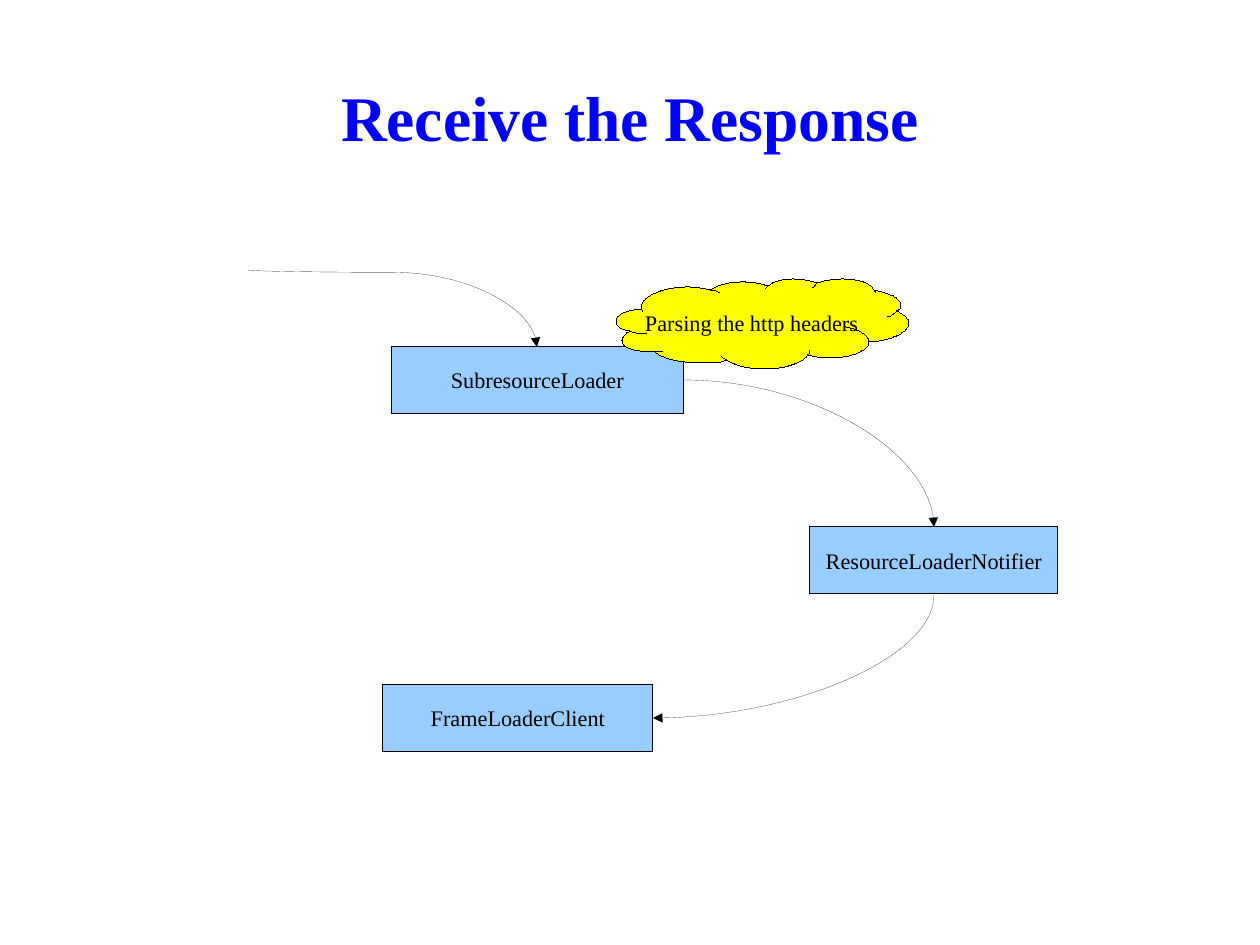
from lxml import etree
from pptx import Presentation
from pptx.dml.color import RGBColor
from pptx.enum.shapes import MSO_CONNECTOR, MSO_SHAPE
from pptx.enum.text import MSO_ANCHOR, MSO_AUTO_SIZE, PP_ALIGN
from pptx.oxml.ns import qn
from pptx.util import Pt

PX = 914400 / 114.3  # EMU per pixel
HAIRLINE = 1         # EMU; python-pptx drops a width of 0

RECT, CURVE = MSO_SHAPE.RECTANGLE, MSO_CONNECTOR.CURVE
LEFT, CENTER = PP_ALIGN.LEFT, PP_ALIGN.CENTER
MIDDLE, NO_FIT = MSO_ANCHOR.MIDDLE, MSO_AUTO_SIZE.NONE

COLORS = {"title": "0000FF", "text": "000000", "line": "000000",
          "box": "99CCFF", "cloud": "FFFF00"}
TITLE_FONT = {"name": "Times New Roman", "size": Pt(40), "bold": True}
LABEL_FONT = {"name": "Times New Roman", "size": Pt(14), "bold": False}

BOXES = [("FrameLoaderClient", 383, 684, 270, 68),
         ("SubresourceLoader", 391, 346, 293, 68),
         ("ResourceLoaderNotifier", 810, 527, 248, 67)]

# Start, end, rotation, preset, flip and bend of each arrow
ARROWS = [((684, 380), (934, 527), 0, "curvedConnector2", False, None),
          ((934, 595), (653, 718), 90, "curvedConnector2", False, None),
          ((248, 270), (537, 347), 270, "curvedConnector3", True, 3000)]

# Cloud outline: two control points and the end of each curve
CLOUD_START = (642, 309)
CLOUD_CURVES = [
    ((637, 298), (662, 287), (687, 287)), ((695, 287), (703, 288), (710, 290)),
    ((717, 285), (729, 282), (742, 282)), ((751, 282), (759, 283), (768, 286)),
    ((773, 281), (783, 279), (793, 279)), ((803, 279), (812, 281), (817, 283)),
    ((823, 281), (832, 279), (842, 279)), ((858, 279), (872, 283), (874, 290)),
    ((889, 293), (901, 298), (901, 305)), ((901, 307), (900, 309), (897, 311)),
    ((904, 314), (909, 319), (909, 322)), ((909, 333), (890, 341), (869, 342)),
    ((869, 351), (850, 358), (830, 358)), ((822, 358), (815, 357), (808, 355)),
    ((802, 363), (785, 369), (765, 369)), ((750, 369), (735, 366), (727, 360)),
    ((719, 362), (724, 363), (701, 363)), ((681, 363), (664, 359), (655, 352)),
    ((633, 352), (622, 347), (622, 341)), ((622, 337), (625, 333), (630, 331)),
    ((621, 330), (616, 326), (616, 321)), ((616, 314), (627, 310), CLOUD_START),
]
# Start and curve of each crease inside the cloud
CLOUD_CREASES = [
    ((642, 309), (642, 310), (643, 311), (643, 312)),
    ((710, 290), (714, 290), (717, 291), (720, 293)),
    ((768, 286), (767, 287), (766, 288), (765, 289)),
    ((817, 283), (815, 285), (814, 286), (813, 288)),
    ((874, 290), (874, 291), (877, 293), (876, 293)),
    ((897, 311), (895, 313), (893, 315), (888, 317)),
    ((869, 342), (870, 338), (863, 330), (846, 327)),
    ((808, 355), (809, 354), (810, 353), (810, 351)),
    ((727, 360), (725, 359), (723, 358), (722, 357)),
    ((655, 352), (657, 352), (660, 352), (663, 352)),
    ((630, 331), (634, 333), (640, 334), (647, 334)),
]


def px(n):
    return round(n * PX)


def rgb(key):
    return RGBColor.from_string(COLORS[key])


def write(sp, text, font, color, align=CENTER, wrap=False):
    tf = sp.text_frame
    frame = {"word_wrap": wrap, "vertical_anchor": MIDDLE, "auto_size": NO_FIT}
    for key, value in frame.items():
        setattr(tf, key, value)
    p = tf.paragraphs[0]
    p.alignment = align
    r = p.add_run()
    r.text = text
    for key, value in font.items():
        setattr(r.font, key, value)
    r.font.color.rgb = rgb(color)
    return tf


def outline(sp):
    sp.line.color.rgb = rgb("line")
    sp.line.width = HAIRLINE


def paint(sp, fill):
    sp.shadow.inherit = False
    sp.fill.solid()
    sp.fill.fore_color.rgb = rgb(fill)
    outline(sp)


def add_title(slide, text):
    sp = slide.shapes.title
    place = {"left": 63, "top": 37, "width": 1134, "height": 158}
    for key, value in place.items():
        setattr(sp, key, px(value))
    tf = write(sp, text, TITLE_FONT, "title", wrap=True)
    for side in ("left", "top", "right", "bottom"):
        setattr(tf, "margin_" + side, 0)


def add_box(slide, text, *place):
    sp = slide.shapes.add_shape(RECT, *map(px, place))
    paint(sp, "box")
    write(sp, text, LABEL_FONT, "text")


def bend_lines(path):
    """Turn every three line segments of a path into one cubic curve."""
    lines = path.findall(qn("a:lnTo"))
    for i in range(0, len(lines), 3):
        curve = etree.Element(qn("a:cubicBezTo"))
        lines[i].addprevious(curve)
        for line in lines[i:i + 3]:
            curve.append(line[0])
            path.remove(line)


def add_crease(outer, crease, left, top):
    path = etree.SubElement(outer.getparent(), qn("a:path"))
    for key, value in {"w": outer.get("w"), "h": outer.get("h"), "fill": "none"}.items():
        path.set(key, value)
    for i, (x, y) in enumerate(crease):
        step = etree.SubElement(path, qn("a:lnTo" if i else "a:moveTo"))
        pt = etree.SubElement(step, qn("a:pt"))
        pt.set("x", str(x - left))
        pt.set("y", str(y - top))
    bend_lines(path)


def add_cloud(slide, text):
    points = [point for curve in CLOUD_CURVES for point in curve]
    fb = slide.shapes.build_freeform(*CLOUD_START, scale=PX)
    fb.add_line_segments(points, close=True)
    sp = fb.convert_to_shape()
    outer = next(sp._element.iter(qn("a:path")))
    bend_lines(outer)
    left, top = map(min, zip(*points))
    for crease in CLOUD_CREASES:
        add_crease(outer, crease, left, top)
    paint(sp, "cloud")
    tf = write(sp, text, LABEL_FONT, "text", align=LEFT, wrap=True)
    tf.margin_left, tf.margin_bottom = px(29), px(9)


def add_arrow(slide, start, end, rot, preset, flip, bend):
    (x1, y1), (x2, y2) = start, end
    w, h = abs(x2 - x1), abs(y2 - y1)
    if rot:  # a quarter turn swaps the sides
        w, h = h, w
    left, top = (x1 + x2 - w) / 2, (y1 + y2 - h) / 2
    sp = slide.shapes.add_connector(CURVE, *map(px, (left, top, left + w, top + h)))
    outline(sp)
    pr = sp._element.spPr
    xfrm = pr.find(qn("a:xfrm"))
    if rot:
        xfrm.set("rot", str(rot * 60000))
    if flip:
        xfrm.set("flipH", "1")
    geom = pr.find(qn("a:prstGeom"))
    geom.set("prst", preset)
    if bend is not None:
        guide = etree.SubElement(geom.find(qn("a:avLst")), qn("a:gd"))
        guide.set("name", "adj1")
        guide.set("fmla", f"val {bend}")
    etree.SubElement(pr.find(qn("a:ln")), qn("a:tailEnd")).set("type", "triangle")
    etree.SubElement(pr, qn("a:effectLst"))


def main():
    prs = Presentation()
    prs.slide_width, prs.slide_height = px(1260), px(945)
    slide = prs.slides.add_slide(prs.slide_layouts[5])

    add_title(slide, "Receive the Response")

    # Loader classes around the cloud, which covers the second box
    for box in BOXES[:2]:
        add_box(slide, *box)
    add_cloud(slide, "Parsing the http headers")
    add_box(slide, *BOXES[2])

    # Call flow
    for arrow in ARROWS:
        add_arrow(slide, *arrow)

    prs.save("out.pptx")


main()
